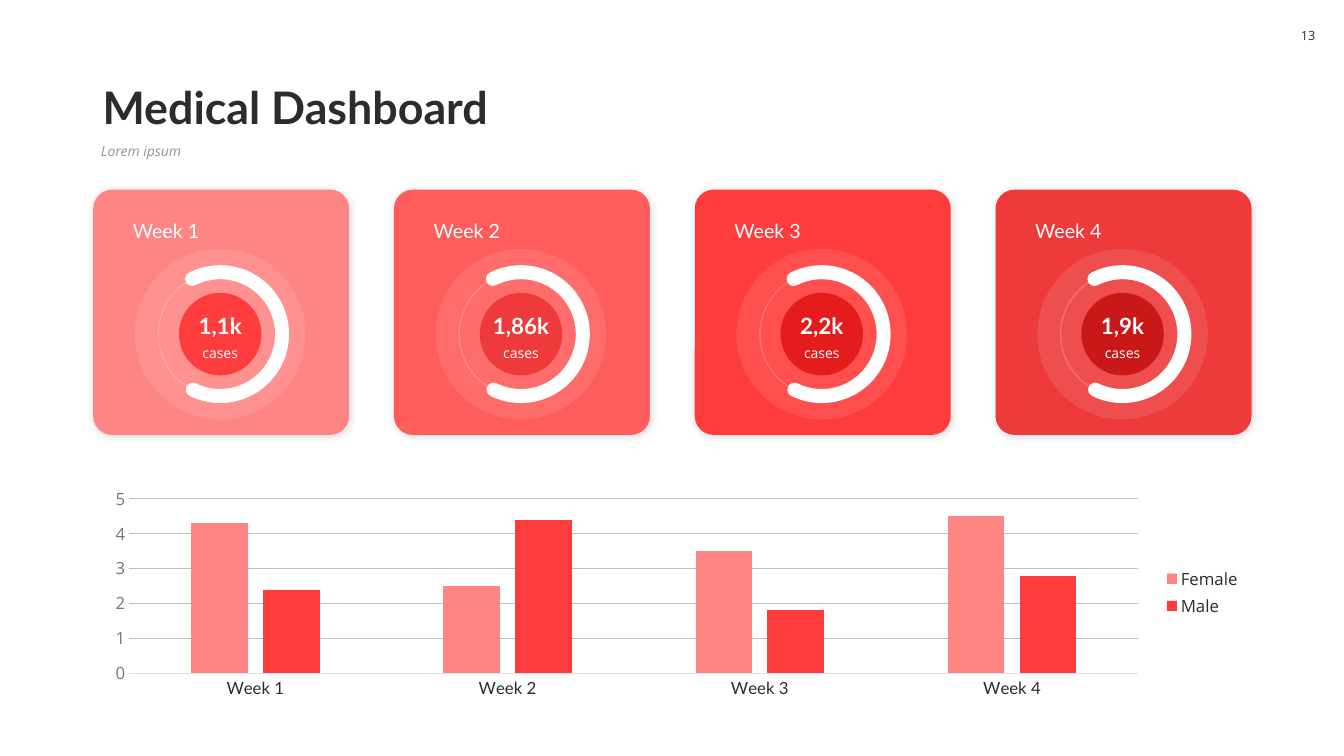
import dataclasses

import lxml.etree
import pptx
import pptx.chart.data
import pptx.dml.color
import pptx.enum.chart
import pptx.enum.shapes
import pptx.enum.text
import pptx.oxml
import pptx.oxml.ns
import pptx.util

Cm, Pt = pptx.util.Cm, pptx.util.Pt
RGB = pptx.dml.color.RGBColor.from_string
SHAPE = pptx.enum.shapes.MSO_SHAPE
ALIGN = pptx.enum.text.PP_ALIGN
ANCHOR = pptx.enum.text.MSO_ANCHOR
qn = pptx.oxml.ns.qn


@dataclasses.dataclass(frozen=True)
class Theme:
    heading: str = "Lato"
    body: str = "Open Sans"
    ink: str = "2C2C2C"
    muted: str = "969696"
    scale: str = "767676"
    grid: str = "C0C0C0"
    axis: str = "DFDFDF"
    white: str = "FFFFFF"
    female: str = "FF8585"
    male: str = "FF3C3C"
    title_size: int = 32
    value_size: int = 16
    week_size: int = 14
    chart_size: int = 12
    small_size: int = 10
    number_size: int = 9


theme = Theme()


def style(font, name, size, color, bold=False, italic=False):
    font.name, font.size = name, Pt(size)
    font.color.rgb = RGB(color)
    font.bold, font.italic = bold, italic


def add_solid(kind, left, top, width, height, fill=None, alpha=None):
    """Add a preset shape without outline or shadow; alpha is opacity in percent."""
    shape = slide.shapes.add_shape(kind, Cm(left), Cm(top), Cm(width), Cm(height))
    shape.shadow.inherit = False
    shape.line.fill.background()
    if fill is None:
        shape.fill.background()
    else:
        shape.fill.solid()
        shape.fill.fore_color.rgb = RGB(fill)
    if alpha is not None:
        color = shape.fill._xPr.find(".//" + qn("a:srgbClr"))
        lxml.etree.SubElement(color, qn("a:alpha")).set("val", str(alpha * 1000))
    return shape


presentation = pptx.Presentation()
presentation.slide_width, presentation.slide_height = Cm(33.87), Cm(19.05)
slide = presentation.slides.add_slide(presentation.slide_layouts[1])

# Heading
title, subtitle = slide.placeholders
for holder, text, box, anchor in (
    (title, "Medical Dashboard", (2.33, 1.47, 29.21, 2.03), ANCHOR.BOTTOM),
    (subtitle, "Lorem ipsum", (2.29, 3.5, 29.26, 0.92), ANCHOR.TOP),
):
    holder.left, holder.top, holder.width, holder.height = map(Cm, box)
    frame = holder.text_frame
    frame.text = text
    frame.vertical_anchor = anchor
    frame.auto_size = pptx.enum.text.MSO_AUTO_SIZE.NONE
    paragraph = frame.paragraphs[0]
    paragraph.alignment = ALIGN.LEFT
    paragraph.line_spacing = 0.9
    paragraph.space_before = Pt(0)

properties = subtitle.text_frame.paragraphs[0]._p.get_or_add_pPr()
properties.set("marL", "0")
properties.set("indent", "0")
lxml.etree.SubElement(properties, qn("a:buNone"))
style(title.text_frame.paragraphs[0].font, theme.heading, theme.title_size, theme.ink, bold=True)
style(subtitle.text_frame.paragraphs[0].font, theme.body, theme.small_size, theme.muted, italic=True)

# Page number
page_number = add_solid(SHAPE.ROUNDED_RECTANGLE, 32.51, 0.46, 0.91, 0.89, theme.white)
frame = page_number.text_frame
frame.text = "13"
frame.word_wrap = False
frame.margin_left = frame.margin_right = 0
frame.vertical_anchor = ANCHOR.MIDDLE
frame.paragraphs[0].alignment = ALIGN.CENTER
style(frame.paragraphs[0].font, theme.body, theme.number_size, theme.ink)

# Weekly cards
weeks = [
    ("Week 1", "1,1k", "FF8585", "FF3C3C"),
    ("Week 2", "1,86k", "FF5C5C", "EE3A3A"),
    ("Week 3", "2,2k", "FF3C3C", "E41C1C"),
    ("Week 4", "1,9k", "EE3A3A", "CA1818"),
]
CARD_LEFT, CARD_TOP, CARD_WIDTH, CARD_HEIGHT, CARD_STEP = 2.35, 4.78, 6.45, 6.18, 7.58
CENTER_Y = 8.42
HALO, RING, CORE = 4.3, 3.12, 2.08
SHADOW = (
    f'<a:effectLst {pptx.oxml.ns.nsdecls("a")}>'
    f'<a:outerShdw blurRad="{Pt(6)}" dist="{Pt(1)}" dir="2700000" algn="tl" rotWithShape="0">'
    '<a:srgbClr val="000000"><a:alpha val="15000"/></a:srgbClr></a:outerShdw></a:effectLst>'
)

for index, (week, cases, card_color, core_color) in enumerate(weeks):
    left = CARD_LEFT + index * CARD_STEP
    center_x = left + 3.2

    card = add_solid(SHAPE.ROUNDED_RECTANGLE, left, CARD_TOP, CARD_WIDTH, CARD_HEIGHT, card_color)
    card.adjustments[0] = 0.077
    effects = card._element.spPr.find(qn("a:effectLst"))
    effects.getparent().replace(effects, pptx.oxml.parse_xml(SHADOW))

    halo, track, gauge, core = [
        add_solid(kind, center_x - size / 2, CENTER_Y - size / 2, size, size, fill, alpha)
        for kind, size, fill, alpha in (
            (SHAPE.OVAL, HALO, theme.white, 10),
            (SHAPE.OVAL, RING, None, None),
            (SHAPE.ARC, RING, None, None),
            (SHAPE.OVAL, CORE, core_color, None),
        )
    ]
    for ring, width in ((track, 1), (gauge, 10)):
        ring.line.color.rgb = RGB(theme.white)
        ring.line.width = Pt(width)
    track_color = track._element.spPr.find(qn("a:ln")).find(".//" + qn("a:srgbClr"))
    lxml.etree.SubElement(track_color, qn("a:alpha")).set("val", "20000")
    gauge._element.spPr.find(qn("a:ln")).set("cap", "rnd")
    gauge.adjustments[0], gauge.adjustments[1] = 145.85, 69.71

    core_left = center_x - CORE / 2
    for text, box, anchor, align, font, size, bold in (
        (cases, (core_left, 7.72, CORE, 0.94), ANCHOR.BOTTOM, ALIGN.CENTER,
         theme.heading, theme.value_size, True),
        ("cases", (core_left, 8.56, CORE, 0.69), ANCHOR.TOP, ALIGN.CENTER,
         theme.body, theme.small_size, False),
        (week, (left + 0.75, 5.38, 4.93, 0.86), ANCHOR.TOP, ALIGN.LEFT,
         theme.heading, theme.week_size, False),
    ):
        frame = slide.shapes.add_textbox(*map(Cm, box)).text_frame
        frame.word_wrap = True
        frame.vertical_anchor = anchor
        frame.text = text
        frame.paragraphs[0].alignment = align
        style(frame.paragraphs[0].font, font, size, theme.white, bold)

# Cases by sex
case_data = pptx.chart.data.CategoryChartData()
case_data.categories = [week[0] for week in weeks]
case_data.add_series("Female", (4.3, 2.5, 3.5, 4.5))
case_data.add_series("Male", (2.4, 4.4, 1.8, 2.8))
chart = slide.shapes.add_chart(
    pptx.enum.chart.XL_CHART_TYPE.COLUMN_CLUSTERED,
    Cm(2.33), Cm(12.17), Cm(29.21), Cm(5.51), case_data,
).chart
style(chart.font, theme.body, theme.small_size, theme.ink)
chart.has_title = False
chart.has_legend = True
chart.legend.position = pptx.enum.chart.XL_LEGEND_POSITION.RIGHT
chart.legend.include_in_layout = False
style(chart.legend.font, theme.body, theme.chart_size, theme.ink)

columns = chart.plots[0]
columns.vary_by_categories = False
columns.gap_width, columns.overlap = 219, -27
for series, color in zip(columns.series, (theme.female, theme.male)):
    series.format.fill.solid()
    series.format.fill.fore_color.rgb = RGB(color)

week_axis, count_axis = chart.category_axis, chart.value_axis
for axis, font, color in (
    (week_axis, theme.heading, theme.ink),
    (count_axis, theme.body, theme.scale),
):
    axis.major_tick_mark = axis.minor_tick_mark = pptx.enum.chart.XL_TICK_MARK.NONE
    style(axis.tick_labels.font, font, theme.chart_size, color)
count_axis.minimum_scale, count_axis.maximum_scale, count_axis.major_unit = 0, 5, 1
count_axis.format.line.fill.background()
for line, color in (
    (week_axis.format.line, theme.axis),
    (count_axis.major_gridlines.format.line, theme.grid),
):
    line.color.rgb = RGB(color)
    line.width = Pt(0.75)

presentation.save("out.pptx")
